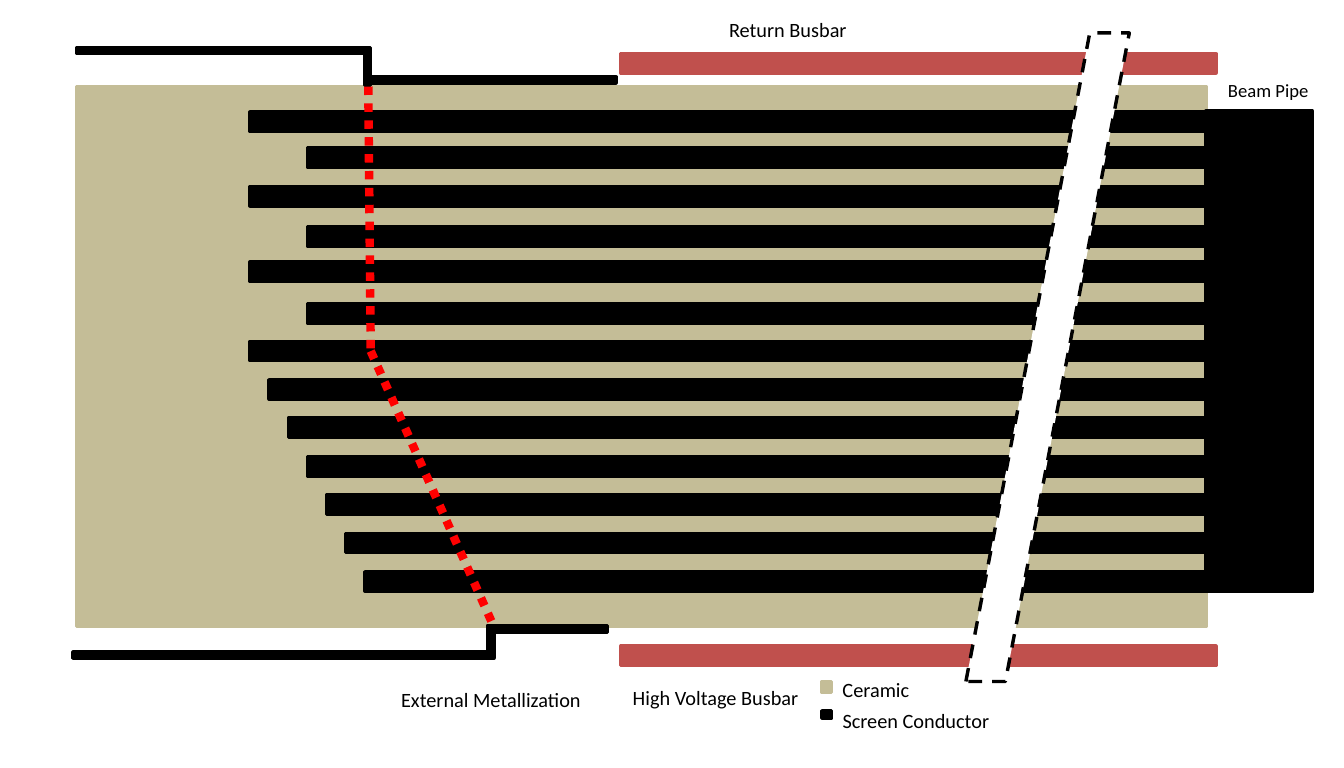
import pptx
import pptx.util
import pptx.dml.color
import pptx.enum.dml
import pptx.enum.shapes
import pptx.enum.text
import pptx.oxml
from pptx.util import Inches, Pt

SHAPE = pptx.enum.shapes.MSO_SHAPE
DASH = pptx.enum.dml.MSO_LINE
BLACK, WHITE, RED = "000000", "FFFFFF", "FF0000"
CERAMIC, BUSBAR = "C4BD97", "C0504D"


def rgb(code):
    """Turn a hex string into a colour."""
    return pptx.dml.color.RGBColor.from_string(code)


def add_block(left, top, width, height, fill, line=None, kind=SHAPE.RECTANGLE):
    """Add a filled shape with a 2 pt outline, in the fill colour by default."""
    block = page.shapes.add_shape(
        kind, Inches(left), Inches(top), Inches(width), Inches(height))
    block.shadow.inherit = False
    block.fill.solid()
    block.fill.fore_color.rgb = rgb(fill)
    block.line.color.rgb = rgb(line or fill)
    block.line.width = Pt(2)
    return block


deck = pptx.Presentation()
deck.slide_width, deck.slide_height = Inches(11.02), Inches(6.3)
page = deck.slides.add_slide(deck.slide_layouts[6])

# Ceramic body, busbars above and below, beam pipe
add_block(0.63, 0.71, 9.26, 4.43, CERAMIC)
for top in (0.44, 5.3):
    add_block(5.09, top, 4.88, 0.16, BUSBAR)
pipe_left = 9.89
add_block(pipe_left, 0.91, 0.87, 3.94, BLACK)

# Screen conductors: alternating ends in the upper half, tapered in the lower
upper_tops = (0.92, 1.21, 1.53, 1.86, 2.15, 2.49)
conductors = [((2.05, 2.52)[i % 2], top) for i, top in enumerate(upper_tops)]
conductors += [(2.05 + 0.157 * i, 2.8 + 0.315 * i) for i in range(7)]
for left, top in conductors:
    add_block(left, top, pipe_left - left, 0.16, BLACK)

# Stepped external metallization
metallization = [
    (0.63, 0.39, 2.41, 0.05), (2.99, 0.43, 0.05, 0.27), (3.04, 0.63, 2.01, 0.05),
    (0.6, 5.35, 3.42, 0.05), (4, 5.13, 0.05, 0.27), (4.04, 5.13, 0.94, 0.06),
]
for left, top, width, height in metallization:
    add_block(left, top, width, height, BLACK)

# Slanted break across the conductors
gap = add_block(7.92, 0.27, 1.34, 5.32, WHITE, BLACK, SHAPE.PARALLELOGRAM)
gap.adjustments[0] = 0.758
gap.line.dash_style = DASH.DASH

# Dotted boundary of the metallization
boundary = [(3.02, 0.71), (3.04, 2.88), (4.04, 5.12)]
for start, end in zip(boundary, boundary[1:]):
    edge = page.shapes.add_connector(
        pptx.enum.shapes.MSO_CONNECTOR.STRAIGHT,
        *(Inches(length) for length in start + end))
    edge.line.color.rgb = rgb(RED)
    edge.line.width = Pt(5)
    edge.line.dash_style = DASH.ROUND_DOT
    dash = edge.line._ln.find(pptx.oxml.ns.qn("a:prstDash"))
    dash.set("val", "sysDot")
    properties = edge._element.spPr
    properties.append(properties.makeelement(pptx.oxml.ns.qn("a:effectLst"), {}))

# Legend swatches
add_block(6.74, 5.59, 0.08, 0.09, CERAMIC)
add_block(6.74, 5.83, 0.08, 0.06, BLACK)

# Labels
labels = [
    ("Return Busbar", 5.88, 0.09, 1.17, 12),
    ("Beam Pipe", 9.97, 0.6, 0.87, 11),
    ("High Voltage Busbar", 5.09, 5.57, 1.57, 12),
    ("External Metallization", 3.19, 5.59, 1.69, 12),
    ("Ceramic", 6.81, 5.51, 0.76, 12),
    ("Screen Conductor", 6.81, 5.76, 1.42, 12),
]
for words, left, top, width, size in labels:
    box = page.shapes.add_textbox(
        Inches(left), Inches(top), Inches(width), Inches(0.3))
    box.text_frame.word_wrap = False
    box.text_frame.auto_size = pptx.enum.text.MSO_AUTO_SIZE.SHAPE_TO_FIT_TEXT
    box.text_frame.text = words
    span = box.text_frame.paragraphs[0].runs[0]
    span.font.name = "Calibri"
    span.font.size = Pt(size)
    span.font.color.rgb = rgb(BLACK)

deck.save("out.pptx")
